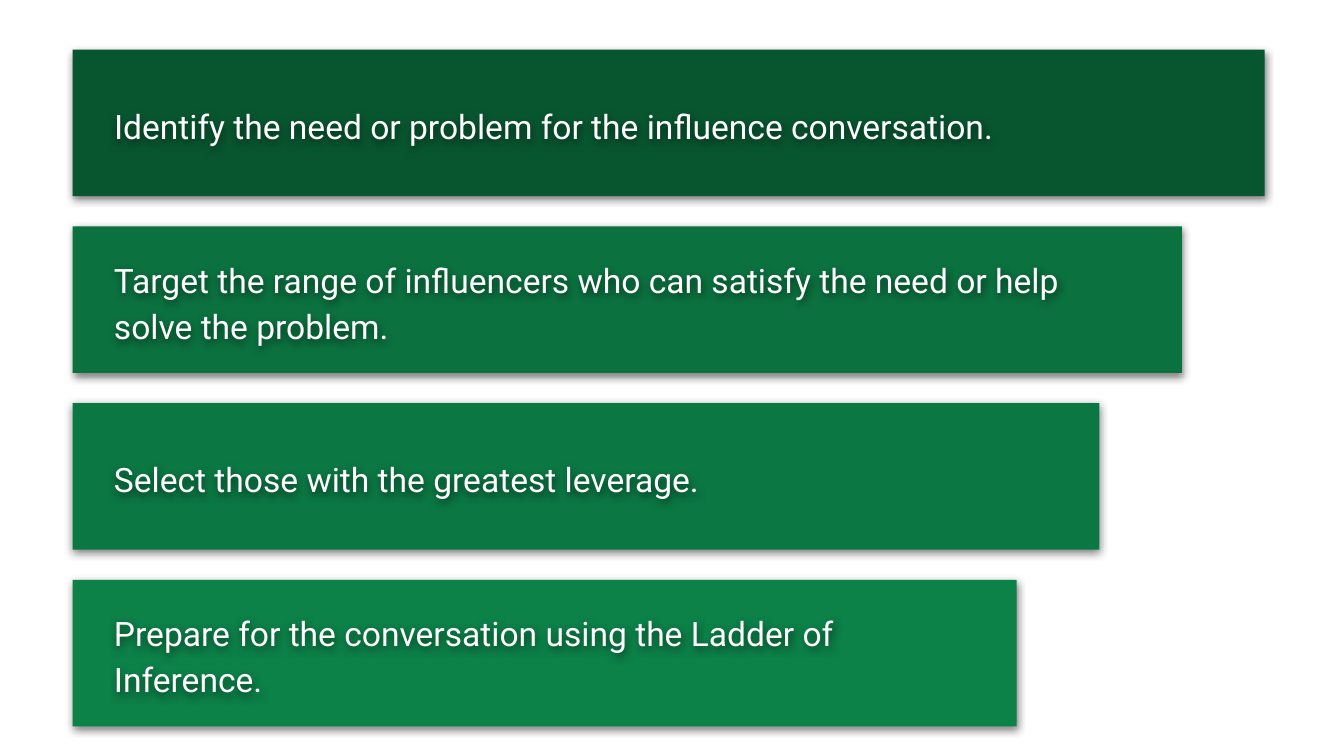
"""Build a slide with four narrowing green bars, one influence step on each."""
from dataclasses import dataclass

from lxml.etree import SubElement
from pptx import Presentation
from pptx.dml.color import RGBColor
from pptx.enum.shapes import MSO_SHAPE
from pptx.enum.text import MSO_ANCHOR, PP_ALIGN
from pptx.oxml.ns import qn
from pptx.util import Emu, Pt

PX = 914400 // 200


@dataclass(frozen=True)
class Theme:
    font: str = "Roboto"
    text_size: int = 18
    line_spacing: float = 1.15
    text: str = "FFFFFF"
    shadow: str = "000000"
    bars: tuple = ("085630", "0B713F", "0B7743", "0C8148")


class StepSlide:
    def __init__(self, deck, theme):
        self.theme = theme
        self.page = deck.slides.add_slide(deck.slide_layouts[6])

    def group(self):
        return self.page.shapes.add_group_shape().shapes

    def shadow(self, shape):
        shape.shadow.inherit = False
        effects = shape.element.spPr.find(qn("a:effectLst"))
        outer = SubElement(effects, qn("a:outerShdw"), blurRad=str(Pt(4.5)),
                           dist=str(Pt(1.5)), dir="5400000", algn="bl", rotWithShape="0")
        color = SubElement(outer, qn("a:srgbClr"), val=self.theme.shadow)
        SubElement(color, qn("a:alpha"), val="50000")

    def bar(self, shapes, left, top, width, height, color):
        bar = shapes.add_shape(MSO_SHAPE.RECTANGLE, *[Emu(n * PX) for n in (left, top, width, height)])
        bar.fill.solid()
        bar.fill.fore_color.rgb = RGBColor.from_string(color)
        bar.line.fill.background()
        self.shadow(bar)

    def label(self, shapes, left, top, width, height, text):
        box = shapes.add_textbox(*[Emu(n * PX) for n in (left, top, width, height)])
        self.shadow(box)
        frame = box.text_frame
        frame.word_wrap = True
        frame.vertical_anchor = MSO_ANCHOR.MIDDLE
        para = frame.paragraphs[0]
        para.alignment = PP_ALIGN.LEFT
        para.line_spacing = self.theme.line_spacing
        span = para.add_run()
        span.text = text
        span.font.name = self.theme.font
        span.font.size = Pt(self.theme.text_size)
        span.font.color.rgb = RGBColor.from_string(self.theme.text)


STEPS = [
    ("Identify the need or problem for the influence conversation.", 1618, 172),
    ("Target the range of influencers who can satisfy the need or help solve the problem.", 1486, 98),
    ("Select those with the greatest leverage.", 1308, 98),
    ("Prepare for the conversation using the Ladder of Inference.", 1308, 98),
]
BAR_LEFT, BAR_TOP, BAR_WIDTH, BAR_HEIGHT = 108, 74, 1774, 218
BAR_PITCH, BAR_SHRINK = 263, 123
LABEL_LEFT = 150


def main():
    deck = Presentation()
    deck.slide_width, deck.slide_height = Emu(2000 * PX), Emu(1125 * PX)
    theme = Theme()
    slide = StepSlide(deck, theme)
    for index, (text, width, height) in enumerate(STEPS):
        top = BAR_TOP + index * BAR_PITCH
        shapes = slide.group()
        slide.bar(shapes, BAR_LEFT, top, BAR_WIDTH - index * BAR_SHRINK, BAR_HEIGHT, theme.bars[index])
        slide.label(shapes, LABEL_LEFT, top + (BAR_HEIGHT - height) // 2, width, height, text)
    deck.save("out.pptx")


if __name__ == "__main__":
    main()
